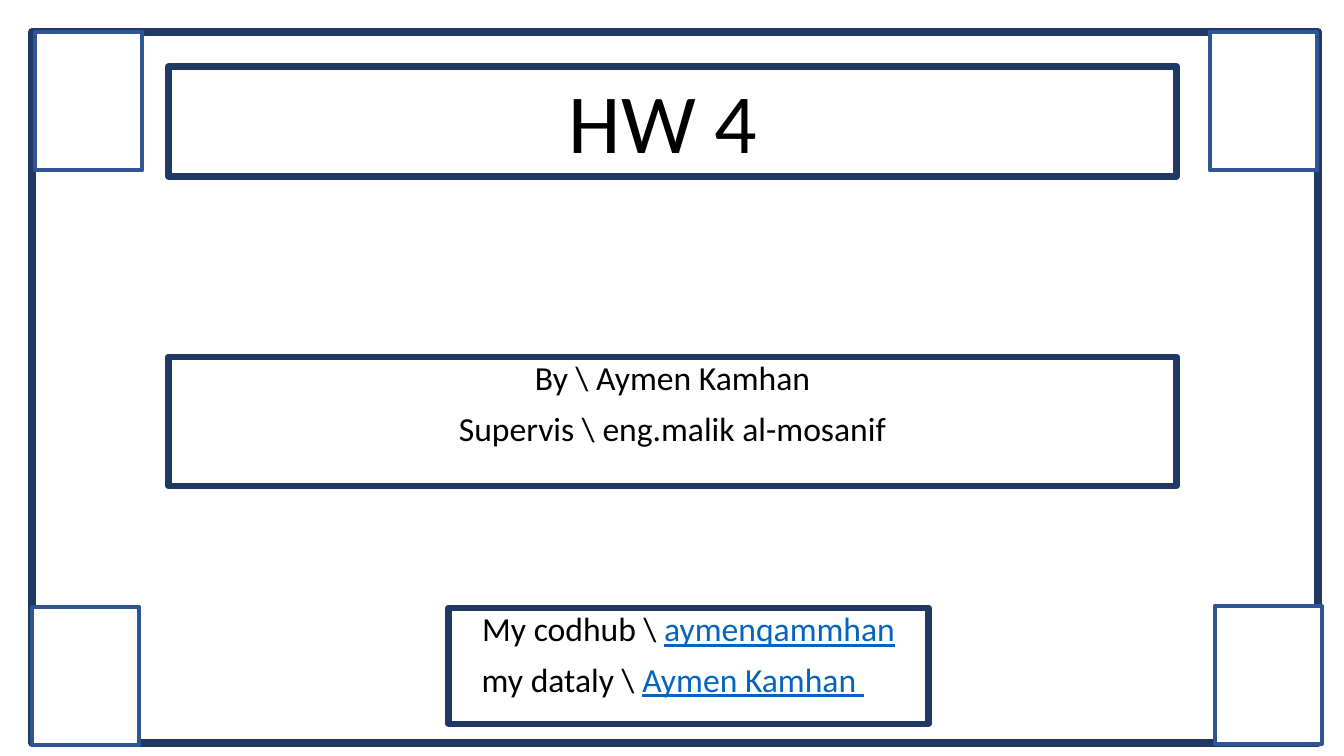
from dataclasses import dataclass

from pptx import Presentation
from pptx.dml.color import RGBColor
from pptx.enum.shapes import MSO_SHAPE
from pptx.enum.text import MSO_ANCHOR, MSO_AUTO_SIZE, PP_ALIGN
from pptx.shapes.autoshape import Shape
from pptx.slide import Slide
from pptx.util import Emu, Pt

PX = 9144  # EMU per px, 100 px to the inch


@dataclass(frozen=True)
class Theme:
    font: str = "Calibri"
    ink: str = "000000"
    link: str = "0563C1"
    navy: str = "203864"
    blue: str = "2F5597"
    white: str = "FFFFFF"
    title: int = 60
    body: int = 24
    thin: float = 3
    mid: float = 4.5
    thick: float = 6


@dataclass(frozen=True)
class Box:
    left: int
    top: int
    width: int
    height: int


@dataclass(frozen=True)
class Line:
    text: str
    size: int
    link: str = ""
    before: int = 10
    indent: int = 0  # px; an indented line is set flush left


THEME = Theme()

# Places
TITLE = Box(167, 66, 1000, 109)
NAMES = Box(167, 354, 1000, 128)
FRAME = Box(32, 32, 1275, 705)
LINKS = Box(445, 603, 476, 115)
CORNERS = [Box(x, y, 106, 137)
           for x, y in ((35, 32), (1200, 32), (1205, 601), (32, 602))]

# Wording
HEAD = [Line("HW 4 ", THEME.title, before=0)]
PEOPLE = [Line("By \\ Aymen Kamhan", THEME.body),
          Line("Supervis \\ eng.malik al-mosanif", THEME.body)]
PAGES = [Line("My codhub \\ ", THEME.body, "aymenqammhan"),
         Line("my dataly \\ ", THEME.body, "Aymen Kamhan ", indent=23)]


def color(code: str) -> RGBColor:
    return RGBColor.from_string(code)


def place(shape: Shape, box: Box) -> None:
    shape.left, shape.top = Emu(box.left * PX), Emu(box.top * PX)
    shape.width, shape.height = Emu(box.width * PX), Emu(box.height * PX)


def edge(shape: Shape, code: str, width: float) -> None:
    shape.line.color.rgb = color(code)
    shape.line.width = Pt(width)


def write(shape: Shape, lines: list[Line], anchor: MSO_ANCHOR) -> None:
    frame = shape.text_frame
    frame.word_wrap = True
    frame.auto_size = MSO_AUTO_SIZE.NONE
    frame.vertical_anchor = anchor
    for i, line in enumerate(lines):
        para = frame.add_paragraph() if i else frame.paragraphs[0]
        para.alignment = PP_ALIGN.LEFT if line.indent else PP_ALIGN.CENTER
        para.line_spacing = 0.9
        para.space_before = Pt(line.before)
        para.font.name = THEME.font
        para.font.size = Pt(line.size)
        para.font.color.rgb = color(THEME.ink)
        if line.indent:
            para._p.get_or_add_pPr().set("marL", str(line.indent * PX))
        para.add_run().text = line.text
        if line.link:
            run = para.add_run()
            run.text = line.link
            run.font.color.rgb = color(THEME.link)
            run.font.underline = True


def panel(shape: Shape, box: Box, lines: list[Line],
          anchor: MSO_ANCHOR = MSO_ANCHOR.TOP) -> None:
    place(shape, box)
    edge(shape, THEME.navy, THEME.mid)
    write(shape, lines, anchor)


def rect(slide: Slide, box: Box, code: str, width: float,
         fill: str = "") -> None:
    shape = slide.shapes.add_shape(MSO_SHAPE.RECTANGLE, 0, 0, 0, 0)
    place(shape, box)
    shape.shadow.inherit = False
    edge(shape, code, width)
    if fill:
        shape.fill.solid()
        shape.fill.fore_color.rgb = color(fill)
    else:
        shape.fill.background()


def main() -> None:
    deck = Presentation()
    deck.slide_width, deck.slide_height = Emu(1333 * PX), Emu(750 * PX)
    slide = deck.slides.add_slide(deck.slide_layouts[0])

    # Title and names
    panel(slide.shapes.title, TITLE, HEAD, MSO_ANCHOR.BOTTOM)
    panel(slide.placeholders[1], NAMES, PEOPLE)

    # Frame around the slide
    rect(slide, FRAME, THEME.navy, THEME.thick)

    # Profile links
    panel(slide.shapes.add_textbox(0, 0, 0, 0), LINKS, PAGES)

    # Corner blocks over the frame
    for box in CORNERS:
        rect(slide, box, THEME.blue, THEME.thin, THEME.white)

    deck.save("out.pptx")


if __name__ == "__main__":
    main()
